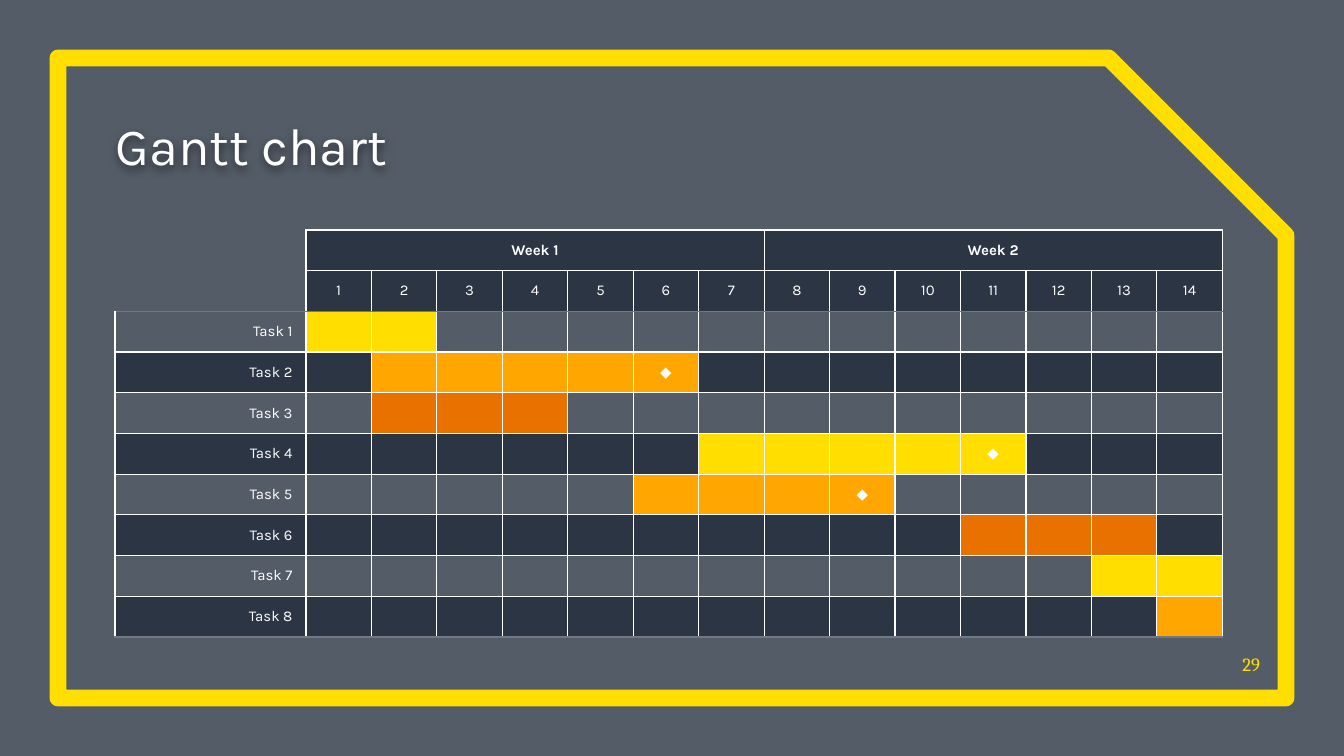
import pptx
import pptx.util
import pptx.dml.color
import pptx.enum.shapes
import pptx.enum.text
import pptx.oxml
import pptx.oxml.ns
from lxml import etree

THEME = {
    "white": "FFFFFF", "navy": "040F20", "rule": "717881",
    "yellow": "FFDE00", "amber": "FFA700", "orange": "E97100",
    "font": "Karla", "number_font": "Cambria",
    "title": 28, "number": 10, "cell": 8, "frame": 9, "border": 0.75,
}
SCALE = 914400 / 134.4
DAYS = 14
TASKS = [
    ("yellow", 1, 2, False),
    ("amber", 2, 6, True),
    ("orange", 2, 4, False),
    ("yellow", 7, 11, True),
    ("amber", 6, 9, True),
    ("orange", 11, 13, False),
    ("yellow", 13, 14, False),
    ("amber", 14, 14, False),
]
ROWS = len(TASKS) + 2
ALIGN = pptx.enum.text.PP_ALIGN
MIDDLE = pptx.enum.text.MSO_ANCHOR.MIDDLE
BOTTOM = pptx.enum.text.MSO_ANCHOR.BOTTOM
qn = pptx.oxml.ns.qn


def paint(fill, color, opacity=100):
    fill.solid()
    fill.fore_color.rgb = pptx.dml.color.RGBColor.from_string(THEME[color])
    if opacity < 100:
        for tone in fill._xPr.iter(qn("a:srgbClr")):
            etree.SubElement(tone, qn("a:alpha"), val=str(opacity * 1000))


def write(frame, text, size, color="white", font="font", align=ALIGN.LEFT, bold=False):
    frame.text = text
    para = frame.paragraphs[0]
    para.alignment = align
    for span in para.runs:
        span.font.name = THEME[font]
        span.font.size = pptx.util.Pt(THEME[size])
        span.font.bold = bold
        paint(span.font.fill, color)


deck = pptx.Presentation()
deck.slide_width = round(1344 * SCALE)
deck.slide_height = round(756 * SCALE)
page = deck.slides.add_slide(deck.slide_layouts[6])
paint(page.background.fill, "white")

shade = page.shapes.add_shape(
    pptx.enum.shapes.MSO_SHAPE.RECTANGLE, 0, 0, deck.slide_width, deck.slide_height)
shade.shadow.inherit = False
paint(shade.fill, "navy", 68)
shade.line.fill.background()

border = page.shapes.add_shape(
    pptx.enum.shapes.MSO_SHAPE.SNIP_1_RECTANGLE,
    *[round(length * SCALE) for length in (58, 58, 1228, 640)])
border.adjustments[0] = 0.277
border.shadow.inherit = False
border.fill.background()
paint(border.line.fill, "yellow")
border.line.width = pptx.util.Pt(THEME["frame"])

boxes = []
for area, text, size, color, font, align in [
    ((116, 105, 988, 71), "Gantt chart", "title", "white", "font", ALIGN.LEFT),
    ((1224, 637, 36, 38), "29", "number", "yellow", "number_font", ALIGN.RIGHT),
]:
    box = page.shapes.add_textbox(*[round(length * SCALE) for length in area])
    frame = box.text_frame
    frame.word_wrap = True
    frame.vertical_anchor = BOTTOM
    frame.margin_left = frame.margin_right = frame.margin_top = frame.margin_bottom = 0
    write(frame, text, size, color, font, align)
    boxes.append(box)

boxes[0]._element.spPr.append(pptx.oxml.parse_xml(
    '<a:effectLst xmlns:a="http://schemas.openxmlformats.org/drawingml/2006/main">'
    '<a:outerShdw blurRad="57150" dist="19050" dir="5400000" algn="bl" rotWithShape="0">'
    '<a:srgbClr val="000000"><a:alpha val="50000"/></a:srgbClr>'
    '</a:outerShdw></a:effectLst>'))

schedule = page.shapes.add_table(
    ROWS, DAYS + 1, *[round(length * SCALE) for length in (115, 230, 1108, 407)]).table
schedule.first_row = False
schedule.horz_banding = False
for row in schedule.rows:
    row.height = round(407 * SCALE / ROWS)
for column in schedule.columns:
    column.width = round(917 * SCALE / DAYS)
schedule.columns[0].width = round(191 * SCALE)

for row in range(ROWS):
    for day in range(DAYS + 1):
        cell = schedule.cell(row, day)
        cell.vertical_anchor = MIDDLE
        text, align, fill = "", ALIGN.CENTER, None
        if row < 2:
            if day > 0:
                fill = "navy"
                if row == 1:
                    text = str(day)
                elif day % 7 == 1:
                    text = f"Week {day // 7 + 1}"
        else:
            color, start, end, milestone = TASKS[row - 2]
            fill = "navy" if row % 2 else None
            if day == 0:
                text, align = f"Task {row - 1}", ALIGN.RIGHT
            elif start <= day <= end:
                fill = color
                text = "◆" if milestone and day == end else ""
        if fill:
            paint(cell.fill, fill, 50 if fill == "navy" else 100)
        else:
            cell.fill.background()
        write(cell.text_frame, text, "cell", align=align, bold=row == 0)
        if not text:
            etree.SubElement(cell.text_frame.paragraphs[0]._p, qn("a:endParaRPr"),
                             sz=str(THEME["cell"] * 100))

        edges = {"L": "white", "R": "white", "T": "white", "B": "white"}
        if row in (1, ROWS - 1):
            edges["B"] = "rule"
        if row == 2:
            edges["T"] = "rule"
        if row < 2 and day == 0:
            edges["L"] = edges["T"] = None
            if row == 0:
                edges["B"] = None
        for place, (side, color) in enumerate(edges.items()):
            line = etree.Element(qn(f"a:ln{side}"), w=str(pptx.util.Pt(THEME["border"])))
            if color:
                solid = etree.SubElement(line, qn("a:solidFill"))
                etree.SubElement(solid, qn("a:srgbClr"), val=THEME[color])
            else:
                etree.SubElement(line, qn("a:noFill"))
            cell._tc.get_or_add_tcPr().insert(place, line)

for first in (1, 8):
    schedule.cell(0, first).merge(schedule.cell(0, first + 6))

deck.save("out.pptx")
